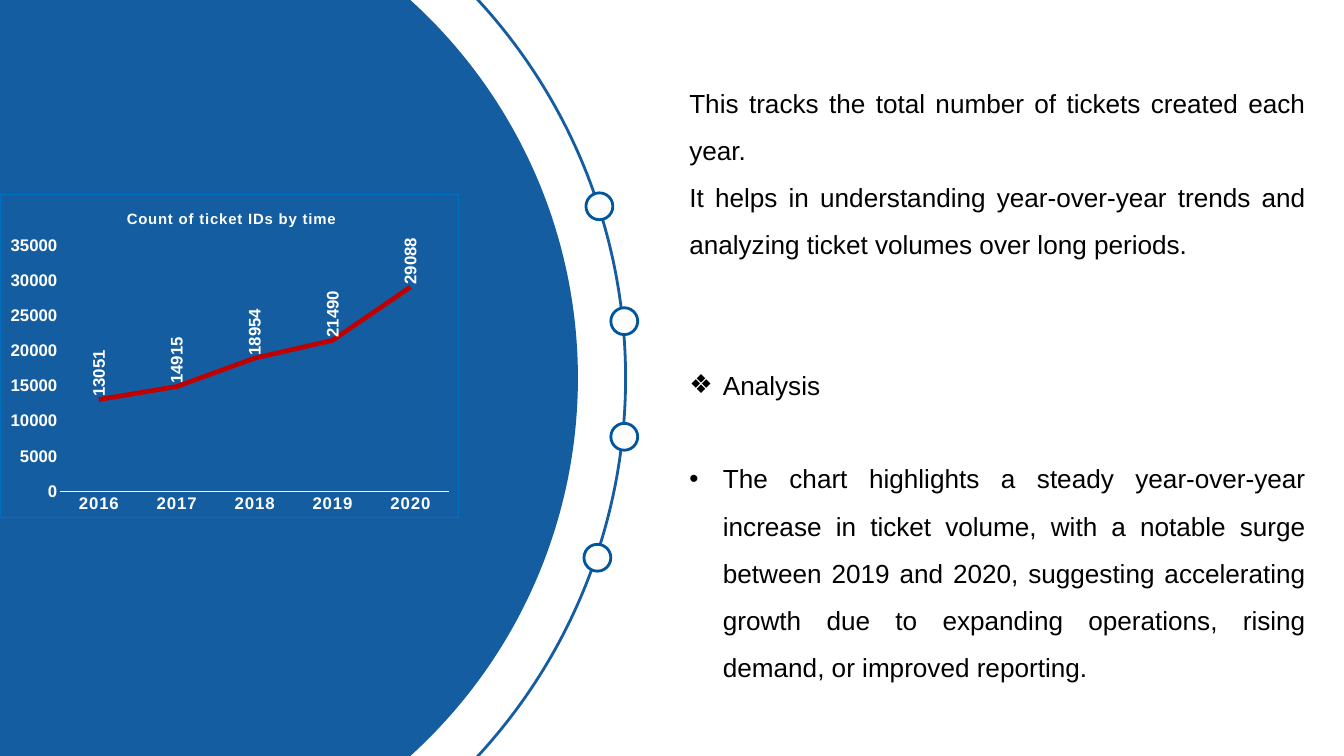
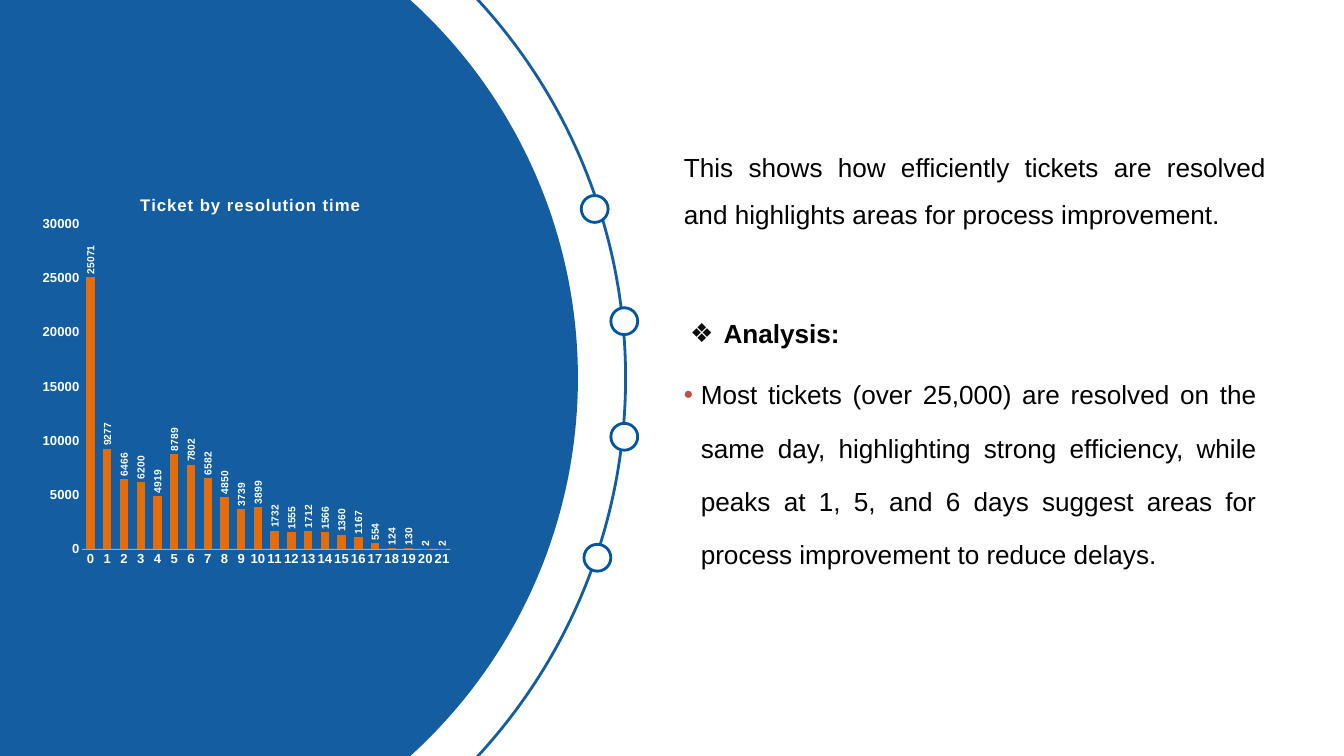
from dataclasses import dataclass

from lxml import etree
from pptx import Presentation
from pptx import util as u
from pptx.chart.data import CategoryChartData
from pptx.dml.color import RGBColor
from pptx.enum import chart as ch
from pptx.enum import shapes, text
from pptx.oxml import parse_xml
from pptx.oxml.ns import nsdecls, qn

WIDTH, HEIGHT = u.Inches(20), u.Inches(11.25)
COLUMN, ROW = WIDTH / 20, HEIGHT / 11.25
FONT = "Arial"
BLUE = RGBColor(0x14, 0x5D, 0xA0)
DOT_BLUE = RGBColor(0x00, 0x56, 0x9E)
FRAME_BLUE = RGBColor(0x00, 0x70, 0xC0)
DOT_WHITE = RGBColor(0xFD, 0xFD, 0xFD)
WHITE = RGBColor(0xFF, 0xFF, 0xFF)
PALE = RGBColor(0xF2, 0xF2, 0xF2)
BLACK = RGBColor(0x00, 0x00, 0x00)
INK = RGBColor(0x0D, 0x0D, 0x0D)
BULLET_RED = RGBColor(0xC0, 0x50, 0x4D)
RED = RGBColor(0xC0, 0x00, 0x00)
ORANGE = RGBColor(0xE4, 0x6C, 0x0A)

RING_RADIUS, DISC_RADIUS, DOT_RADIUS = 8.3, 7.59, 0.2
LOWER_DOTS = [(9.29, 4.78), (9.29, 6.5), (8.89, 8.3)]


@dataclass
class Box:
    """An area counted in columns and rows of the slide grid."""
    left: float
    top: float
    width: float
    height: float

    def emu(self):
        """Return left, top, width and height as slide lengths."""
        return (round(self.left * COLUMN), round(self.top * ROW),
                round(self.width * COLUMN), round(self.height * ROW))


@dataclass
class Item:
    """A paragraph with its spacing and bullet."""
    words: str
    spacing: float = 1.5
    before: float = 0
    bullet: str = ""
    bullet_color: RGBColor = BLACK
    indent: float = 0.5
    bold: bool = False
    align: text.PP_ALIGN = text.PP_ALIGN.JUSTIFY


def style_font(font, size, color, bold=False):
    """Apply the deck typeface with a size, colour and weight."""
    font.name, font.size, font.bold = FONT, u.Pt(size), bold
    font.color.rgb = color


def add_circle(page, center, radius, fill=None, line=None):
    """Draw a circle around a grid point."""
    x, y = center
    area = Box(x - radius, y - radius, 2 * radius, 2 * radius)
    circle = page.shapes.add_shape(shapes.MSO_SHAPE.OVAL, *area.emu())
    circle.shadow.inherit = False
    if fill is None:
        circle.fill.background()
    else:
        circle.fill.solid()
        circle.fill.fore_color.rgb = fill
    if line is None:
        circle.line.fill.background()
    else:
        circle.line.color.rgb = line
        circle.line.width = u.Pt(3)


def add_orbit(page, box, first_dot):
    """Draw the disc, its outer ring and the four dots on the ring."""
    center = (box.left + 1.01, box.top + box.height / 2)
    add_circle(page, center, RING_RADIUS, line=BLUE)
    add_circle(page, center, DISC_RADIUS, fill=BLUE)
    for x, y in [first_dot, *LOWER_DOTS]:
        add_circle(page, (box.left + x, box.top + y), DOT_RADIUS, DOT_WHITE, DOT_BLUE)


def add_text(page, box, items):
    """Write paragraphs into a wrapping text box."""
    frame = page.shapes.add_textbox(*box.emu()).text_frame
    frame.word_wrap = True
    for index, item in enumerate(items):
        para = frame.paragraphs[0] if index == 0 else frame.add_paragraph()
        para.text = item.words
        para.alignment = item.align
        para.line_spacing = item.spacing
        para.space_before = u.Pt(item.before)
        if item.bullet:
            properties = para._p.get_or_add_pPr()
            indent = round(item.indent * COLUMN)
            properties.set("marL", str(indent))
            properties.set("indent", str(-indent))
            color = etree.SubElement(properties, qn("a:buClr"))
            etree.SubElement(color, qn("a:srgbClr"), val=str(item.bullet_color))
            etree.SubElement(properties, qn("a:buFont"), typeface=FONT)
            etree.SubElement(properties, qn("a:buChar"), char=item.bullet)
        style_font(para.runs[0].font, 28, BLACK, item.bold)


def set_layout(element, **shares):
    """Fix a chart part at shares of the chart area."""
    for old in element.findall(qn("c:layout")):
        element.remove(old)
    target = '<c:layoutTarget val="inner"/>' if "w" in shares else ""
    modes = "".join(f'<c:{key}Mode val="edge"/>' for key in "xy")
    values = "".join(f'<c:{key} val="{share}"/>' for key, share in shares.items())
    layout = parse_xml(f'<c:layout {nsdecls("c")}><c:manualLayout>'
                       f'{target}{modes}{values}</c:manualLayout></c:layout>')
    words = element.find(qn("c:tx"))
    if words is None:
        element.insert(0, layout)
    else:
        words.addnext(layout)


def set_chart_frame(chart, color=None):
    """Leave the chart area clear and give it an optional border."""
    paint = (f'<a:solidFill><a:srgbClr val="{color}"/></a:solidFill>'
             if color is not None else "<a:noFill/>")
    chart._chartSpace.find(qn("c:chart")).addnext(parse_xml(
        f'<c:spPr {nsdecls("c", "a")}><a:noFill/><a:ln w="9525">{paint}</a:ln></c:spPr>'))


def add_ticket_chart(page, box, kind, title, title_size, title_at, plot, data,
                     maximum, axis_size, label_size, label_position):
    """Place a one-series chart with a title, plain axes and upright labels."""
    source = CategoryChartData()
    source.categories = list(data)
    source.add_series("Series 1", list(data.values()))
    chart = page.shapes.add_chart(kind, *box.emu(), source).chart
    chart.has_legend = False
    style_font(chart.font, axis_size, WHITE, True)

    chart.has_title = True
    frame = chart.chart_title.text_frame
    frame.text = title
    span = frame.paragraphs[0].runs[0]
    style_font(span.font, title_size, WHITE, True)
    span.font._element.set("spc", "100")
    chart.chart_title.include_in_layout = False
    set_layout(chart.chart_title._element, x=title_at[0], y=title_at[1])
    set_layout(chart._chartSpace.chart.plotArea, **dict(zip("xywh", plot)))

    for axis in (chart.category_axis, chart.value_axis):
        axis.has_major_gridlines = False
        axis.major_tick_mark = axis.minor_tick_mark = ch.XL_TICK_MARK.NONE
        style_font(axis.tick_labels.font, axis_size, WHITE, True)
    chart.category_axis.format.line.width = u.Pt(1)
    chart.category_axis.format.line.color.rgb = WHITE
    chart.value_axis.format.line.fill.background()
    chart.value_axis.minimum_scale = 0
    chart.value_axis.maximum_scale = maximum
    chart.value_axis.major_unit = 5000

    plot_area = chart.plots[0]
    plot_area.vary_by_categories = False
    labels = plot_area.series[0].data_labels
    labels.show_value = True
    labels.position = label_position
    style_font(labels.font, label_size, WHITE, True)
    body = labels._element.find(qn("c:txPr")).find(qn("a:bodyPr"))
    body.set("rot", "-5400000")
    body.set("vert", "horz")
    return chart


def build_yearly_slide(deck):
    """Build the slide on tickets created each year."""
    page = deck.slides.add_slide(deck.slide_layouts[6])
    add_orbit(page, Box(0, 0, 20, 11.25), (8.92, 3.07))
    data = {"2016": 13051, "2017": 14915, "2018": 18954, "2019": 21490, "2020": 29088}
    chart = add_ticket_chart(
        page, Box(0, 2.88, 6.83, 4.82), ch.XL_CHART_TYPE.LINE,
        "Count of ticket IDs by time", 16, (0.27, 0.04), (0.13, 0.16, 0.85, 0.76),
        data, 35000, 18, 18, ch.XL_LABEL_POSITION.ABOVE)
    set_chart_frame(chart, FRAME_BLUE)
    chart.category_axis.tick_labels.font._element.set("spc", "100")
    series = chart.plots[0].series[0]
    series.smooth = False
    series.marker.style = ch.XL_MARKER_STYLE.NONE
    series.format.line.color.rgb = RED
    series.format.line.width = u.Pt(5)
    add_text(page, Box(10.16, 1.02, 9.36, 9.2), [
        Item("This tracks the total number of tickets created each year."),
        Item("It helps in understanding year-over-year trends and analyzing ticket "
             "volumes over long periods."),
        Item("Analysis", before=100, bullet="❖"),
        Item("The chart highlights a steady year-over-year increase in ticket volume, "
             "with a notable surge between 2019 and 2020, suggesting accelerating growth "
             "due to expanding operations, rising demand, or improved reporting.",
             before=50, bullet="•"),
    ])


def build_resolution_slide(deck):
    """Build the slide on how long tickets take to resolve."""
    page = deck.slides.add_slide(deck.slide_layouts[6])
    add_orbit(page, Box(0, 0, 20, 11.25), (8.85, 3.11))
    counts = [25071, 9277, 6466, 6200, 4919, 8789, 7802, 6582, 4850, 3739, 3899,
              1732, 1555, 1712, 1566, 1360, 1167, 554, 124, 130, 2, 2]
    data = {str(day): count for day, count in enumerate(counts)}
    chart = add_ticket_chart(
        page, Box(0.53, 2.48, 6.3, 6.06), ch.XL_CHART_TYPE.COLUMN_CLUSTERED,
        "Ticket by resolution time", 18, (0.24, 0.06), (0.11, 0.14, 0.87, 0.8),
        data, 30000, 14, 11, ch.XL_LABEL_POSITION.OUTSIDE_END)
    set_chart_frame(chart)
    axis_line = chart.category_axis.format.line
    axis_line.color.rgb = PALE
    color = axis_line._ln.find(qn("a:solidFill")).find(qn("a:srgbClr"))
    etree.SubElement(color, qn("a:alpha"), val="54000")
    bars = chart.plots[0]
    bars.gap_width, bars.overlap = 100, -24
    bars.series[0].format.fill.solid()
    bars.series[0].format.fill.fore_color.rgb = ORANGE
    add_text(page, Box(10.08, 1.97, 8.85, 1.54), [
        Item("This shows how efficiently tickets are resolved and highlights areas "
             "for process improvement.")])
    add_text(page, Box(10.17, 4.73, 2.93, 0.53), [
        Item("Analysis:", spacing=0.9, bullet="❖", bullet_color=INK, bold=True,
             align=text.PP_ALIGN.LEFT)])
    add_text(page, Box(10.08, 5.26, 8.71, 3.6), [
        Item("Most tickets (over 25,000) are resolved on the same day, highlighting "
             "strong efficiency, while peaks at 1, 5, and 6 days suggest areas for "
             "process improvement to reduce delays.",
             spacing=1.7, bullet="•", bullet_color=BULLET_RED, indent=0.25)])


def main():
    """Build the deck and save it."""
    deck = Presentation()
    deck.slide_width, deck.slide_height = WIDTH, HEIGHT
    build_yearly_slide(deck)
    build_resolution_slide(deck)
    deck.save("out.pptx")


if __name__ == "__main__":
    main()
